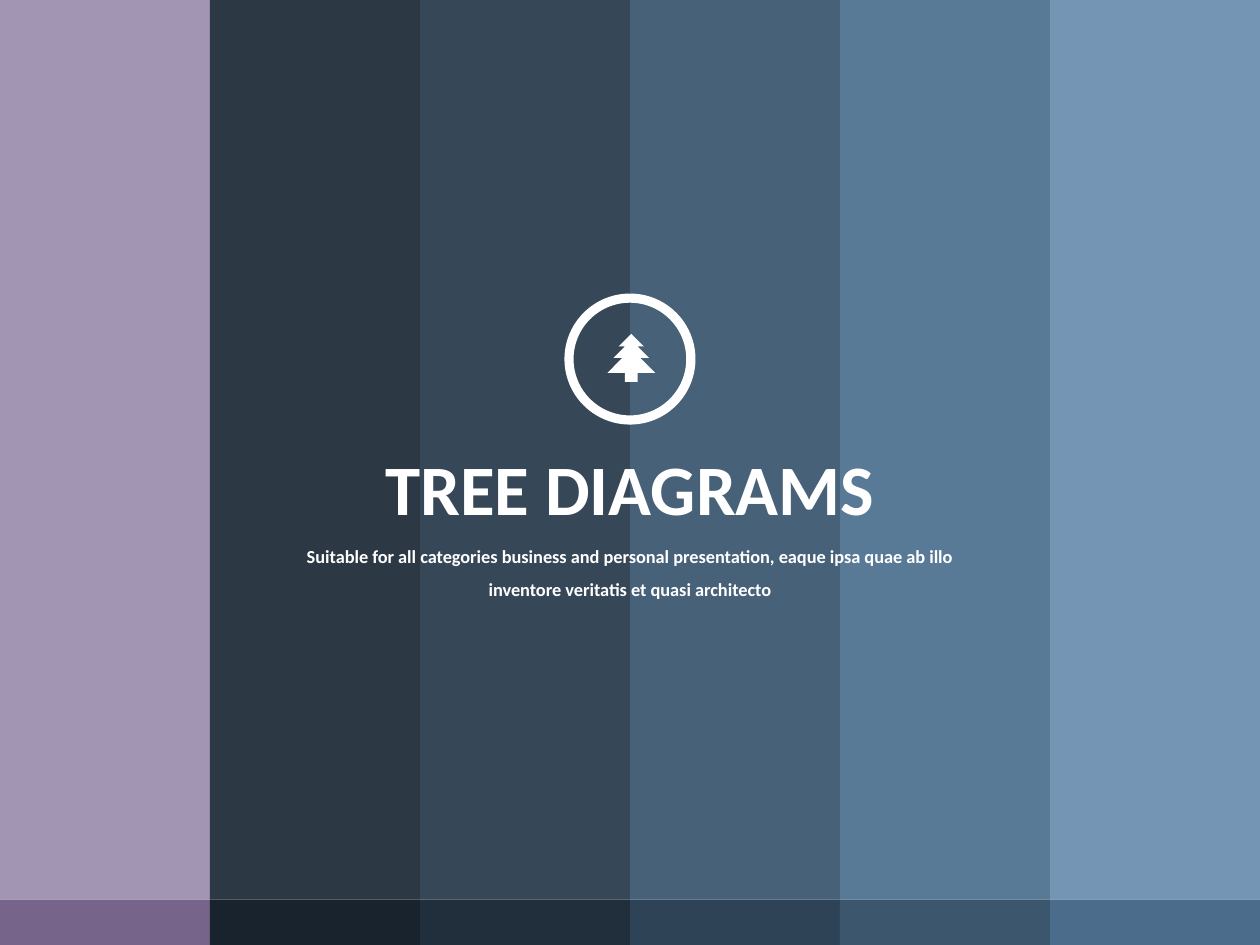
from lxml.etree import SubElement
from pptx import Presentation
from pptx.dml.color import RGBColor
from pptx.enum.shapes import MSO_SHAPE
from pptx.enum.text import MSO_AUTO_SIZE, PP_ALIGN
from pptx.oxml.ns import qn
from pptx.util import Inches, Pt

WHITE = RGBColor(0xFF, 0xFF, 0xFF)
# (column colour, base strip colour), left to right
COLUMN_COLOURS = [
    (RGBColor(0x9E, 0x90, 0xAF), RGBColor(0x76, 0x64, 0x8B)),
    (RGBColor(0x21, 0x2F, 0x3C), RGBColor(0x19, 0x23, 0x2D)),
    (RGBColor(0x2C, 0x3F, 0x50), RGBColor(0x21, 0x2F, 0x3C)),
    (RGBColor(0x3E, 0x59, 0x72), RGBColor(0x2E, 0x43, 0x56)),
    (RGBColor(0x50, 0x73, 0x92), RGBColor(0x3C, 0x56, 0x6E)),
    (RGBColor(0x6D, 0x90, 0xAF), RGBColor(0x4B, 0x6C, 0x8A)),
]

presentation = Presentation()
presentation.slide_width, presentation.slide_height = Inches(10), Inches(7.5)
slide = presentation.slides.add_slide(presentation.slide_layouts[6])
shapes = slide.shapes

column_width = presentation.slide_width / len(COLUMN_COLOURS)
strip_top = Inches(7.14)
strip_height = presentation.slide_height - strip_top


def paint(shape, colour):
    """Fill a shape with one flat colour, without outline or shadow."""
    shape.shadow.inherit = False
    shape.fill.solid()
    shape.fill.fore_color.rgb = colour
    shape.line.fill.background()


# Columns, slightly see-through, each standing on a darker strip
for index, (column_colour, strip_colour) in enumerate(COLUMN_COLOURS):
    left = round(index * column_width)
    width = round((index + 1) * column_width) - left
    column = shapes.add_shape(MSO_SHAPE.RECTANGLE, left, 0, width, strip_top)
    paint(column, column_colour)
    colour_element = column.fill._xPr.find(qn("a:solidFill"))[0]
    SubElement(colour_element, qn("a:alpha")).set("val", "95000")
    strip = shapes.add_shape(MSO_SHAPE.RECTANGLE, left, strip_top, width, strip_height)
    paint(strip, strip_colour)

# Title and subtitle: text, left, top, width, height, size, line spacing, wrap
TEXTS = [
    ("TREE DIAGRAMS", 2.94, 3.48, 4.12, 0.78, 40.5, 1.0, False),
    ("Suitable for all categories business and personal presentation, "
     "eaque ipsa quae ab illo inventore veritatis et quasi architecto",
     2.19, 4.19, 5.62, 0.63, 10.5, 1.5, True),
]
for text, left, top, width, height, size, spacing, wrap in TEXTS:
    text_box = shapes.add_textbox(Inches(left), Inches(top), Inches(width), Inches(height))
    text_frame = text_box.text_frame
    text_frame.text = text
    text_frame.word_wrap = wrap
    text_frame.auto_size = MSO_AUTO_SIZE.SHAPE_TO_FIT_TEXT
    paragraph = text_frame.paragraphs[0]
    paragraph.alignment = PP_ALIGN.CENTER
    paragraph.line_spacing = spacing
    font = paragraph.runs[0].font
    font.name, font.size, font.bold = "Calibri", Pt(size), True
    font.color.rgb = WHITE

# Ring around the tree
ring = shapes.add_shape(MSO_SHAPE.DONUT, Inches(4.48), Inches(2.33), Inches(1.04), Inches(1.04))
ring.adjustments[0] = 0.07
paint(ring, WHITE)

# Tree: right half from the tip down as (distance from axis, y), then mirrored
TREE_AXIS = 5.01
HALF_TREE = [(0, 2.65), (0.1, 2.75), (0.05, 2.75), (0.14, 2.84), (0.07, 2.84),
             (0.19, 2.96), (0.05, 2.96), (0.05, 3.03)]
right_side = [(TREE_AXIS + x, y) for x, y in HALF_TREE]
left_side = [(TREE_AXIS - x, y) for x, y in reversed(HALF_TREE[1:])]
outline = [(Inches(x), Inches(y)) for x, y in right_side + left_side]
builder = shapes.build_freeform(*outline[0])
builder.add_line_segments(outline[1:], close=True)
paint(builder.convert_to_shape(), WHITE)

presentation.save("out.pptx")
